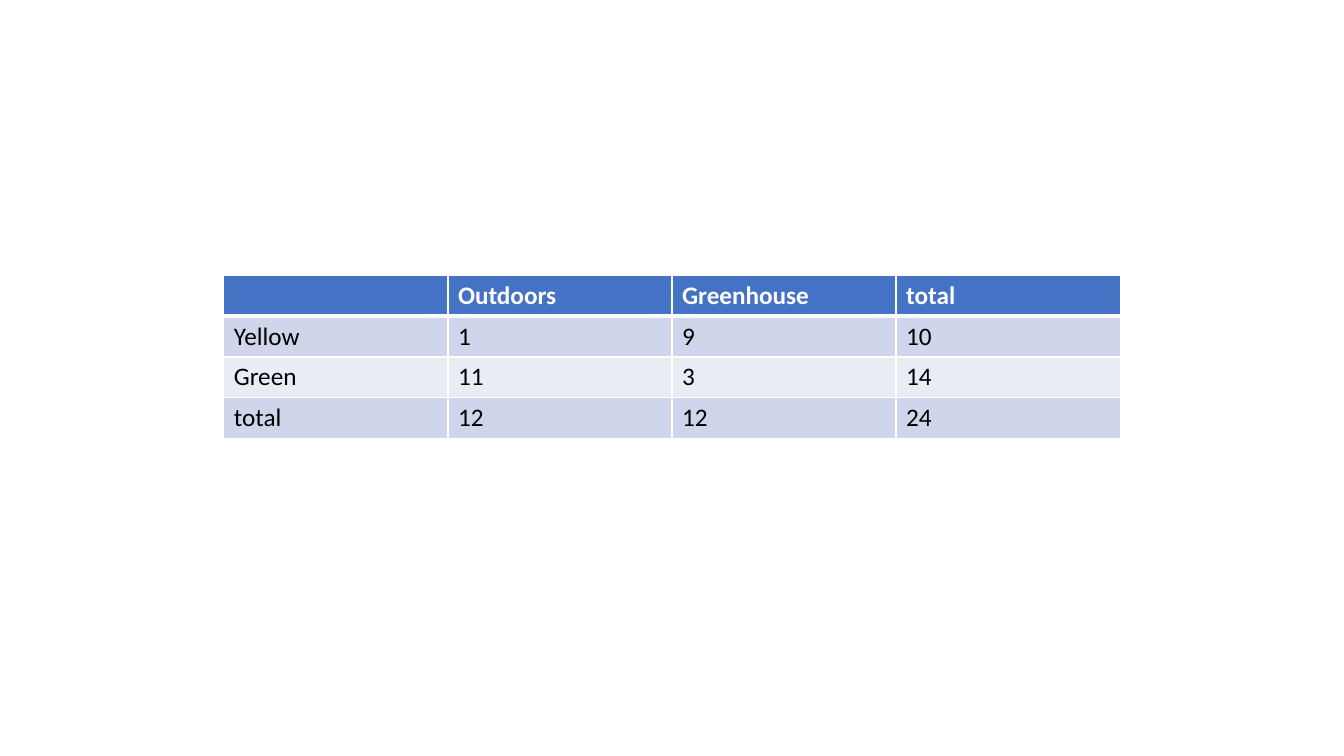
from dataclasses import dataclass

from lxml.etree import SubElement
from pptx import Presentation
from pptx.dml.color import RGBColor
from pptx.oxml.ns import qn
from pptx.table import _Cell as Cell
from pptx.util import Inches, Pt

WHITE = RGBColor(0xFF, 0xFF, 0xFF)
BLACK = RGBColor(0x00, 0x00, 0x00)
HEADER_BLUE = RGBColor(0x44, 0x72, 0xC4)
BAND_DARK = RGBColor(0xCF, 0xD5, 0xEA)
BAND_LIGHT = RGBColor(0xE9, 0xEB, 0xF5)

FONT_FORMAT = {"name": "Calibri", "size": Pt(18)}
THIN, THICK = Pt(1), Pt(3)


@dataclass(frozen=True)
class TableRow:
    values: tuple[str, ...]
    fill: RGBColor
    text_color: RGBColor = BLACK
    bold: bool = False
    top_border: int = THIN
    bottom_border: int = THIN


ROWS = (
    TableRow(("", "Outdoors", "Greenhouse", "total"), HEADER_BLUE, WHITE,
             bold=True, bottom_border=THICK),
    TableRow(("Yellow", "1", "9", "10"), BAND_DARK, top_border=THICK),
    TableRow(("Green", "11", "3", "14"), BAND_LIGHT),
    TableRow(("total", "12", "12", "24"), BAND_DARK),
)


def add_borders(cell: Cell, row: TableRow) -> None:
    properties = cell._tc.get_or_add_tcPr()
    widths = {"L": THIN, "R": THIN, "T": row.top_border, "B": row.bottom_border}
    for side, width in widths.items():
        line = SubElement(properties, qn(f"a:ln{side}"), w=str(int(width)))
        fill = SubElement(line, qn("a:solidFill"))
        SubElement(fill, qn("a:srgbClr"), val=str(WHITE))


def fill_cell(cell: Cell, text: str, row: TableRow) -> None:
    cell.text = text
    add_borders(cell, row)
    cell.fill.solid()
    cell.fill.fore_color.rgb = row.fill
    for run in cell.text_frame.paragraphs[0].runs:
        for attribute, value in {**FONT_FORMAT, "bold": row.bold}.items():
            setattr(run.font, attribute, value)
        run.font.color.rgb = row.text_color


def main() -> None:
    presentation = Presentation()
    presentation.slide_width = Inches(13.33)
    presentation.slide_height = Inches(7.5)
    slide = presentation.slides.add_slide(presentation.slide_layouts[6])
    table = slide.shapes.add_table(
        len(ROWS), len(ROWS[0].values),
        Inches(2.22), Inches(2.73), Inches(8.89), Inches(1.62),
    ).table
    for row_index, row in enumerate(ROWS):
        for column_index, text in enumerate(row.values):
            fill_cell(table.cell(row_index, column_index), text, row)
    presentation.save("out.pptx")


if __name__ == "__main__":
    main()
